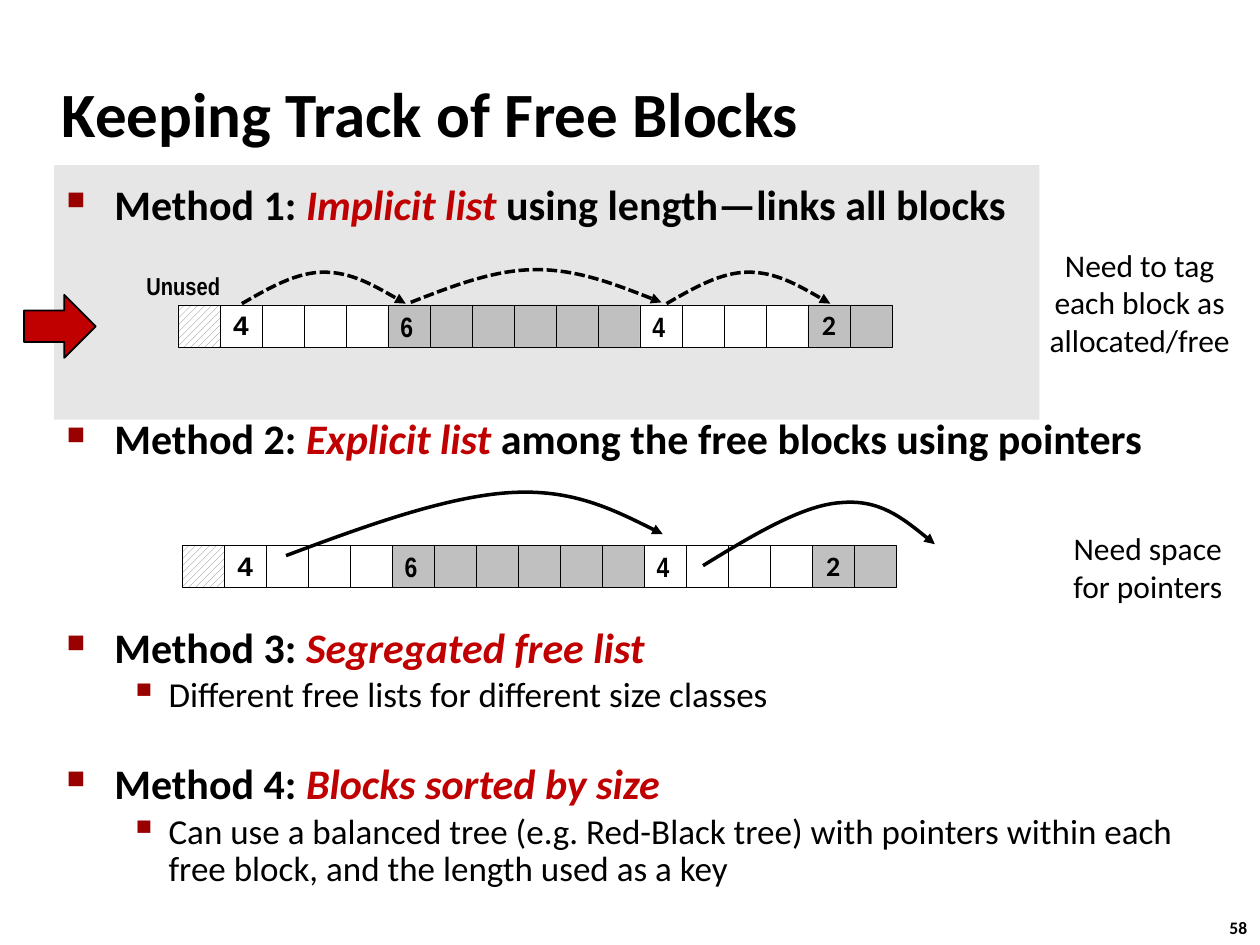
from pptx import Presentation
from pptx.dml.color import RGBColor as RGB
from pptx.enum.dml import MSO_LINE as Dash, MSO_PATTERN as Pat
from pptx.enum.shapes import MSO_SHAPE as Kind
from pptx.enum.text import MSO_ANCHOR as Anchor, PP_ALIGN as Align
from pptx.oxml.ns import qn
from pptx.util import Inches, Pt
from lxml.etree import SubElement as Sub

HEX = {"ink": "000000", "red": "C00000", "mark": "990000", "panel": "E6E6E6",
       "free": "FFFFFF", "used": "C0C0C0", "hatch": "808080"}


def tone(name):
    return RGB.from_string(HEX[name])


def write(para, text, size=18, face="Calibri", bold=False, align=Align.LEFT,
          before=0, lines=None, mark=None, indent=(0, 0)):
    """Fill a paragraph; parts between asterisks become red italics."""
    para.alignment = align
    para.space_before = Pt(before)
    if lines:
        para.line_spacing = lines
    if mark:
        char, share = mark
        props = para._p.get_or_add_pPr()
        props.set("marL", str(Inches(indent[0])))
        props.set("indent", str(Inches(indent[1])))
        Sub(Sub(props, qn("a:buClr")), qn("a:srgbClr"), val=HEX["mark"])
        Sub(props, qn("a:buSzPct"), val=str(share * 1000))
        Sub(props, qn("a:buChar"), char=char)
    for n, part in enumerate(text.split("*")):
        if part:
            run = para.add_run()
            run.text = part
            font = run.font
            font.size, font.name, font.bold = Pt(size), face, bold
            font.italic = n % 2 == 1
            font.color.rgb = tone("red" if n % 2 else "ink")


class Deck:
    """Holds the style and the current slide, on a grid of 120 by 90."""

    def __init__(self):
        self.pres = Presentation()
        self.pres.slide_width, self.pres.slide_height = Inches(10), Inches(7.5)
        self.unit = self.pres.slide_width / 120
        self.slide = self.pres.slides.add_slide(self.pres.slide_layouts[5])
        self.shapes = self.slide.shapes

    def grid(self, *units):
        return [round(u * self.unit) for u in units]

    def title(self, text, *area):
        box = self.shapes.title
        box.left, box.top, box.width, box.height = self.grid(*area)
        box.text_frame.vertical_anchor = Anchor.MIDDLE
        write(box.text_frame.paragraphs[0], text, size=36, bold=True)

    def text(self, items, *area, wrap=False, anchor=Anchor.TOP):
        frame = self.shapes.add_textbox(*self.grid(*area)).text_frame
        frame.word_wrap, frame.vertical_anchor = wrap, anchor
        for n, (words, style) in enumerate(items):
            para = frame.add_paragraph() if n else frame.paragraphs[0]
            write(para, words, **style)

    def shape(self, kind, fill, *area, edge=None, home=None):
        item = (home or self.shapes).add_shape(kind, *self.grid(*area))
        item.shadow.inherit = False
        if fill == "hatch":
            item.fill.patterned()
            item.fill.pattern = Pat.WIDE_UPWARD_DIAGONAL
            item.fill.fore_color.rgb = tone("hatch")
            item.fill.back_color.rgb = tone("free")
        else:
            item.fill.solid()
            item.fill.fore_color.rgb = tone(fill)
        if edge:
            item.line.color.rgb, item.line.width = tone("ink"), Pt(edge)
        else:
            item.line.fill.background()
        return item

    def heap(self, left, top, blocks, side=4):
        home = self.shapes.add_group_shape().shapes
        spot = left
        for fill, count, label, style in blocks:
            for n in range(count):
                cell = self.shape(Kind.RECTANGLE, fill, spot, top, side, side,
                                  edge=0.25, home=home)
                spot += side
                if label and n == 0:
                    frame = cell.text_frame
                    frame.word_wrap = False
                    frame.vertical_anchor = Anchor.MIDDLE
                    write(frame.paragraphs[0], label, size=16, bold=True, **style)

    def curve(self, points, dash=False):
        start, *rest = [tuple(self.grid(*p)) for p in points]
        pen = self.shapes.build_freeform(*start)
        pen.add_line_segments(rest, close=False)
        arc = pen.convert_to_shape()
        arc.shadow.inherit = False
        arc.fill.background()
        arc.line.color.rgb, arc.line.width = tone("ink"), Pt(2)
        if dash:
            arc.line.dash_style = Dash.SQUARE_DOT
        Sub(arc.line._get_or_add_ln(), qn("a:tailEnd"), type="triangle")
        track = next(arc._element.iter(qn("a:path")))
        steps = track.findall(qn("a:lnTo"))
        for n in range(0, len(steps), 3):
            bend = Sub(track, qn("a:cubicBezTo"))
            for step in steps[n:n + 3]:
                bend.append(step[0])
                track.remove(step)


def main():
    deck = Deck()
    deck.shape(Kind.RECTANGLE, "panel", 5.16, 15.72, 93.84, 24.24)
    deck.title("Keeping Track of Free Blocks", 4.68, 5.76, 99.6, 9.96)

    head = dict(size=24, bold=True, mark=("■", 60), indent=(0.38, -0.38))
    tight = dict(head, lines=0.83)
    point = dict(size=20, before=4, lines=0.88, mark=("▪", 110), indent=(0.81, -0.31))
    deck.text([
        ("Method 1: *Implicit list *using length—links all blocks", head),
        ("Method 2: *Explicit list *among the free blocks using pointers",
         dict(head, before=105)),
        ("Method 3: *Segregated free list*", dict(tight, before=95)),
        ("Different free lists for different size classes", point),
        ("Method 4: *Blocks sorted by size*", dict(tight, before=29)),
        ("Can use a balanced tree (e.g. Red-Black tree) with pointers within each "
         "free block, and the length used as a key", point),
    ], 5.16, 16.44, 108.84, 70.56, wrap=True)

    mid = dict(align=Align.CENTER)
    for lines, area in [
            (("Need to tag", "each block as", "allocated/free"),
             (98.64, 22.8, 19.8, 12.12)),
            (("Need space", "for pointers"), (100.68, 49.8, 17.28, 8.52))]:
        deck.text([(line, mid) for line in lines], *area)
    deck.text([("Unused", dict(mid, size=14, face="Arial Narrow", bold=True))],
              12, 24.96, 10.92, 4.44, anchor=Anchor.MIDDLE)

    slim = dict(face="Arial Narrow")
    blocks = [("hatch", 1, "", {}),
              ("free", 4, "4", dict(mid, face="Courier New", lines=0.94)),
              ("used", 6, "6", slim), ("free", 4, "4", slim),
              ("used", 2, "2", dict(mid, lines=0.98))]
    deck.heap(16.95, 29.04, blocks)
    deck.heap(17.36, 51.96, blocks)

    for left, right, low, high in [(23.04, 38.64, 28.92, 25.92),
                                   (39.12, 63, 28.8, 25.68),
                                   (63.48, 79.08, 28.92, 25.92)]:
        step, half = (right - left) / 6, (low + high) / 2
        tops = (low, half, high, high, high, half, low)
        deck.curve([(left + n * step, y) for n, y in enumerate(tops)], dash=True)
    deck.curve([(27.24, 52.92), (34.92, 50.04), (42.6, 47.28), (48.6, 46.92),
                (54.48, 46.56), (58.8, 48.72), (63.12, 50.88)])
    deck.curve([(66.96, 53.88), (71.64, 51), (76.44, 48.12), (80.04, 47.88),
                (83.76, 47.52), (86.4, 49.68), (89.04, 51.84)])

    deck.shape(Kind.RIGHT_ARROW, "red", 2.28, 28.08, 6.84, 6, edge=1)
    deck.text([("58", dict(size=10, bold=True))], 115.92, 86.76, 4.08, 3.24)
    deck.pres.save("out.pptx")


if __name__ == "__main__":
    main()
